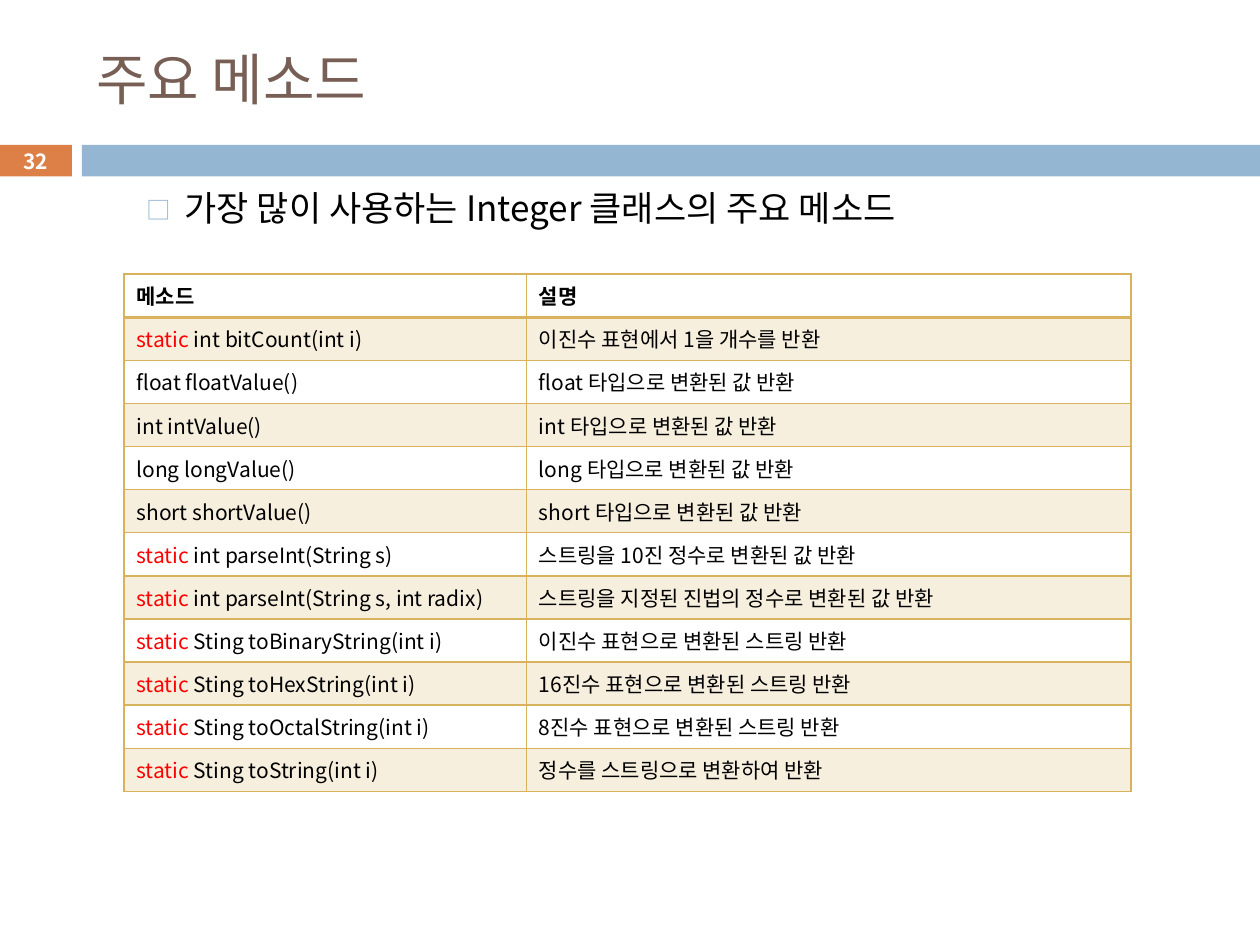
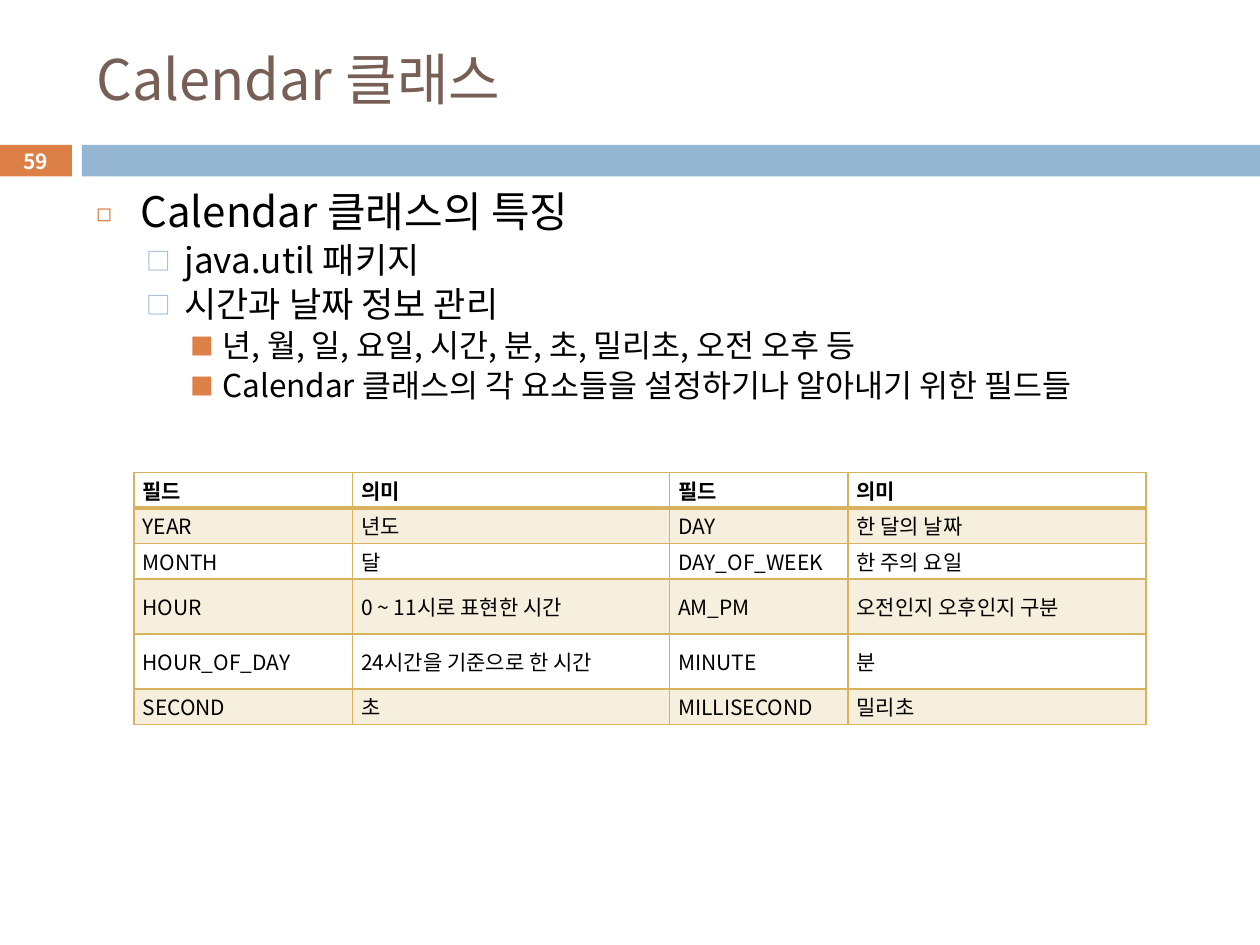
from lxml.etree import SubElement
from pptx import Presentation
from pptx.dml.color import RGBColor
from pptx.enum.shapes import MSO_SHAPE
from pptx.enum.text import MSO_ANCHOR, PP_ALIGN
from pptx.oxml.ns import qn
from pptx.util import Pt

FACE = "Noto Sans CJK KR"
BROWN, ORANGE, BLUE, GOLD = "775F55", "DD8047", "94B6D2", "D8B25C"
BLACK, WHITE, RED = "000000", "FFFFFF", "FF0000"

TITLE = (48, 18, 642, 53)
BODY = (48, 106, 642, 397)
BADGE = (-0.7, 82.8, 41.8, 18)
BAND = (46.8, 82.8, 673.2, 18)

# level: indent, hang, space before, mark, mark colour, mark percent, text size
LEVELS = [
    (25.2, 25.2, 5, "◻", ORANGE, 60, 24),
    (50.4, 21.6, 3.6, "□", BLUE, 70, 20),
    (72, 18, 3.1, "■", ORANGE, 75, 18),
]

METHODS = [
    ("메소드", "설명"),
    ("static int bitCount(int i)", "이진수 표현에서 1을 개수를 반환"),
    ("float floatValue()", "float 타입으로 변환된 값 반환"),
    ("int intValue()", "int 타입으로 변환된 값 반환"),
    ("long longValue()", "long 타입으로 변환된 값 반환"),
    ("short shortValue()", "short 타입으로 변환된 값 반환"),
    ("static int parseInt(String s)", "스트링을 10진 정수로 변환된 값 반환"),
    ("static int parseInt(String s, int radix)",
     "스트링을 지정된 진법의 정수로 변환된 값 반환"),
    ("static Sting toBinaryString(int i)", "이진수 표현으로 변환된 스트링 반환"),
    ("static Sting toHexString(int i)", "16진수 표현으로 변환된 스트링 반환"),
    ("static Sting toOctalString(int i)", "8진수 표현으로 변환된 스트링 반환"),
    ("static Sting toString(int i)", "정수를 스트링으로 변환하여 반환"),
]

FIELDS = [
    ("필드", "의미", "필드", "의미"),
    ("YEAR", "년도", "DAY", "한 달의 날짜"),
    ("MONTH", "달", "DAY_OF_WEEK", "한 주의 요일"),
    ("HOUR", "0 ~ 11시로 표현한 시간", "AM_PM", "오전인지 오후인지 구분"),
    ("HOUR_OF_DAY", "24시간을 기준으로 한 시간", "MINUTE", "분"),
    ("SECOND", "초", "MILLISECOND", "밀리초"),
]

TRAITS = [
    (0, "Calendar 클래스의 특징"),
    (1, "java.util 패키지"),
    (1, "시간과 날짜 정보 관리"),
    (2, "년, 월, 일, 요일, 시간, 분, 초, 밀리초, 오전 오후 등"),
    (2, "Calendar 클래스의 각 요소들을 설정하기나 알아내기 위한 필드들"),
]


def tint(hue):
    return RGBColor.from_string(hue)


def points(box):
    return [Pt(side) for side in box]


def style(item, form):
    for key, value in form.items():
        setattr(item, key, value)


def write(para, text, size, hue, bold=False):
    run = para.add_run()
    run.text = text
    style(run.font, {"name": FACE, "size": Pt(size), "bold": bold})
    run.font.color.rgb = tint(hue)
    SubElement(run.font._element, qn("a:ea"), typeface=FACE)


def bar(slide, box, hue):
    shape = slide.shapes.add_shape(MSO_SHAPE.RECTANGLE, *points(box))
    shape.shadow.inherit = False
    shape.fill.solid()
    shape.fill.fore_color.rgb = tint(hue)
    shape.line.fill.background()
    return shape


def panel(slide, box, anchor):
    frame = slide.shapes.add_textbox(*points(box)).text_frame
    style(frame, {"word_wrap": True, "vertical_anchor": anchor})
    return frame


def base(deck, title, number):
    """Add a slide with the title, band and page badge that all slides share."""
    slide = deck.slides.add_slide(deck.slide_layouts[6])
    bar(slide, BAND, BLUE)
    frame = bar(slide, BADGE, ORANGE).text_frame
    style(frame, {"margin_top": 0, "margin_bottom": 0,
                  "vertical_anchor": MSO_ANCHOR.MIDDLE})
    para = frame.paragraphs[0]
    para.alignment = PP_ALIGN.CENTER
    write(para, str(number), 11.9, WHITE, True)
    head = panel(slide, TITLE, MSO_ANCHOR.MIDDLE)
    write(head.paragraphs[0], title, 32, BROWN)
    return slide


def mark(para, level):
    """Give a paragraph the bullet and indent of its level."""
    indent, hang, _, sign, hue, share, _ = LEVELS[level]
    props = para._p.get_or_add_pPr()
    for key, value in {"marL": Pt(indent), "indent": -Pt(hang), "lvl": level}.items():
        props.set(key, str(value))
    SubElement(SubElement(props, qn("a:buClr")), qn("a:srgbClr"), val=hue)
    SubElement(props, qn("a:buSzPct"), val=str(share * 1000))
    SubElement(props, qn("a:buFont"), typeface=FACE)
    SubElement(props, qn("a:buChar"), char=sign)


def outline(slide, box, items):
    frame = panel(slide, box, MSO_ANCHOR.TOP)
    for place, (level, text) in enumerate(items):
        para = frame.add_paragraph() if place else frame.paragraphs[0]
        mark(para, level)
        para.line_spacing = 0.9
        if place:
            para.space_before = Pt(LEVELS[level][2])
        write(para, text, LEVELS[level][-1], BLACK)


def border(cell, row):
    """Draw gold cell edges, with a heavy rule under the header."""
    props = cell._tc.get_or_add_tcPr()
    heavy = {(0, "B"), (1, "T")}
    for place, side in enumerate("LRTB"):
        width = Pt(2 if (row, side) in heavy else 1)
        line = props.makeelement(qn(f"a:ln{side}"), {"w": str(width)})
        fill = SubElement(line, qn("a:solidFill"))
        SubElement(fill, qn("a:srgbClr"), val=GOLD)
        props.insert(place, line)


def shade(cell, row):
    """Fill odd rows with pale gold and leave the rest clear."""
    if row % 2 == 0:
        cell.fill.background()
        return
    cell.fill.solid()
    cell.fill.fore_color.rgb = tint(GOLD)
    hue = cell._tc.tcPr.find(qn("a:solidFill"))[0]
    SubElement(hue, qn("a:alpha"), val="20000")


def grid(slide, spot, data, widths, heights, form):
    box = (*spot, sum(widths), sum(heights))
    table = slide.shapes.add_table(len(data), len(widths), *points(box)).table
    table.horz_banding = False
    for col, width in zip(table.columns, widths):
        col.width = Pt(width)
    for row, height in enumerate(heights):
        table.rows[row].height = Pt(height)
        for col, text in enumerate(data[row]):
            cell = table.cell(row, col)
            style(cell, form)
            shade(cell, row)
            border(cell, row)
            para = cell.text_frame.paragraphs[0]
            word, gap, rest = text.partition("static ")
            if gap:
                write(para, gap, 12, RED)
            write(para, word + rest, 12, BLACK, row == 0)


def methods(deck):
    slide = base(deck, "주요 메소드", 32)
    outline(slide, BODY, [(1, "가장 많이 사용하는 Integer 클래스의 주요 메소드")])
    grid(slide, (70.8, 156.6), METHODS, (230, 345.6), [24.65] * len(METHODS), {})


def calendar(deck):
    slide = base(deck, "Calendar 클래스", 59)
    outline(slide, BODY, TRAITS)
    form = {"margin_left": Pt(5), "margin_right": Pt(5),
            "margin_top": Pt(1.4), "margin_bottom": Pt(1.4),
            "vertical_anchor": MSO_ANCHOR.MIDDLE}
    low, tall = 20.3, 31.4
    grid(slide, (76.5, 270), FIELDS, (125, 181.1, 102, 170.2),
         (low, low, low, tall, tall, low), form)


def main():
    deck = Presentation()
    style(deck, {"slide_width": Pt(720), "slide_height": Pt(540)})
    methods(deck)
    calendar(deck)
    deck.save("out.pptx")


if __name__ == "__main__":
    main()
